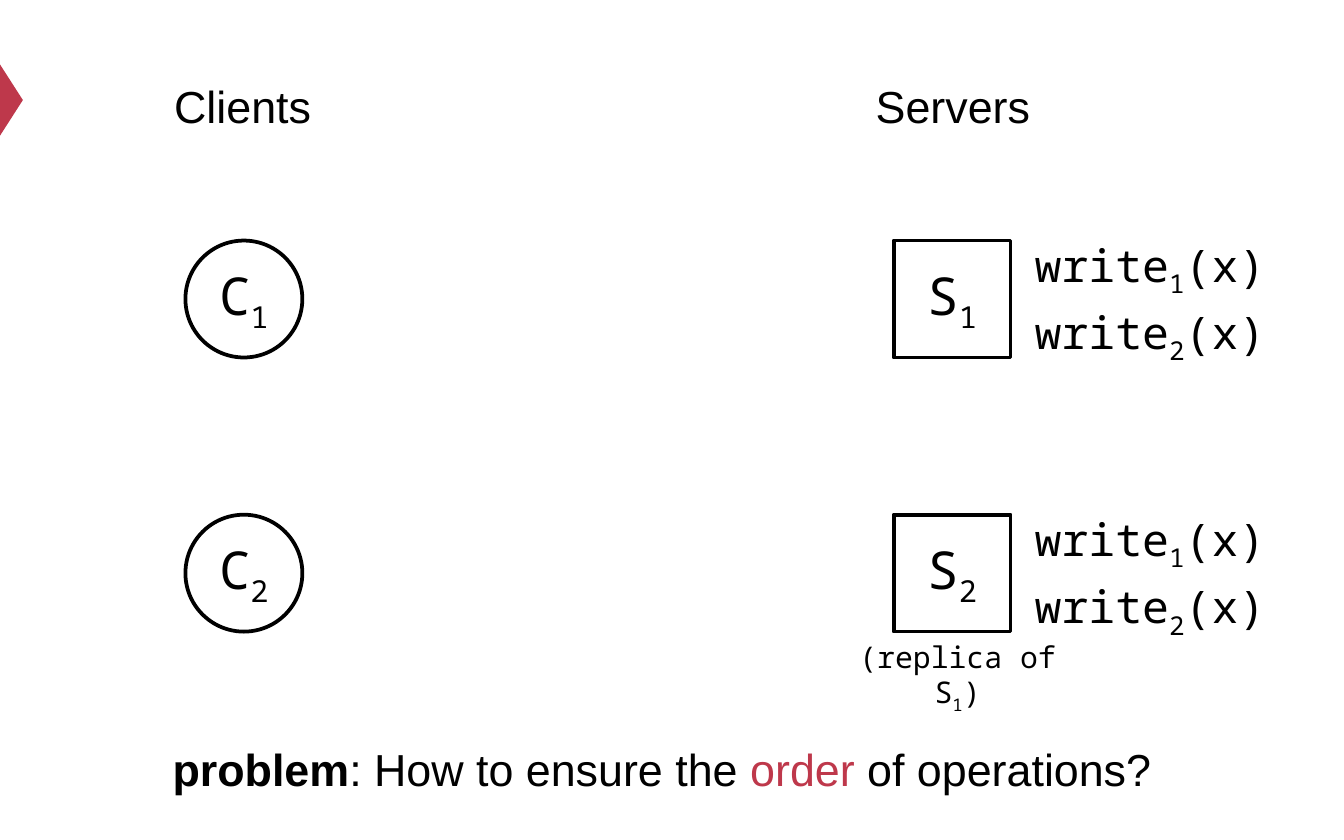
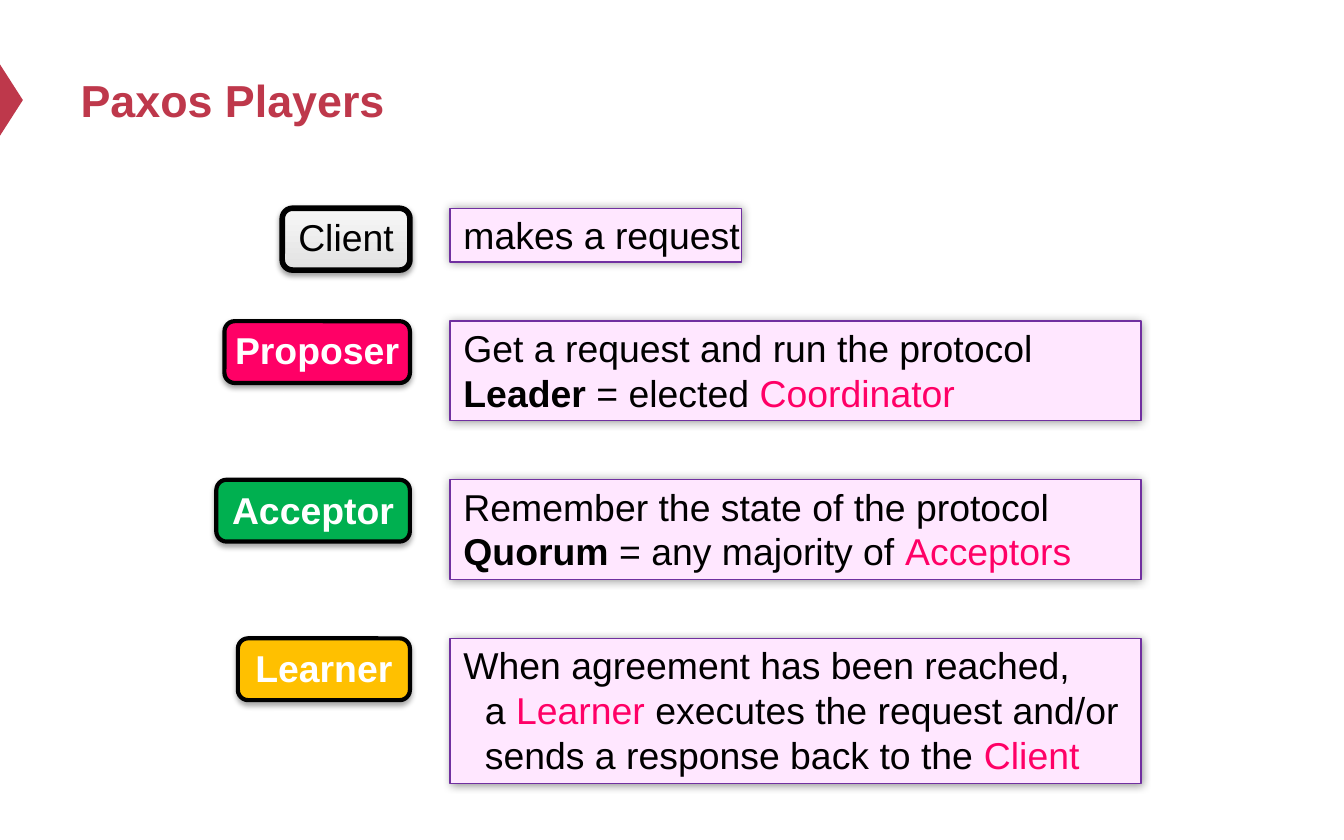
"""Build two slides on ordering operations and the roles in Paxos."""
from dataclasses import dataclass

from lxml import etree
from pptx import Presentation
from pptx import util as u
from pptx.dml.color import RGBColor
from pptx.enum import shapes, text
from pptx.oxml.ns import qn

KIND = shapes.MSO_SHAPE
MID = text.MSO_ANCHOR.MIDDLE
CENTER = text.PP_ALIGN.CENTER


@dataclass(frozen=True)
class Theme:
    """Colours, fonts and type sizes."""
    red: str = "BE384B"
    ink: str = "000000"
    white: str = "FFFFFF"
    pink: str = "FF0066"
    green: str = "00B050"
    gold: str = "FFC000"
    pale: str = "FFE7FF"
    edge: str = "7030A0"
    silver: tuple = ("E2E2E2", "F7F7F7")
    sans: str = "Arial"
    mono: str = "Noto Sans Mono"
    node: int = 28
    head: int = 24
    body: int = 20
    note: int = 16


def rgb(code):
    """Turn a hex code into a colour."""
    return RGBColor.from_string(code)


class Deck:
    """Hold the theme and the current slide."""

    def __init__(self, theme):
        """Start an empty deck."""
        self.theme = theme
        self.show = Presentation()
        self.show.slide_width = u.Inches(10)
        self.show.slide_height = u.Inches(6.25)
        self.slide = None

    def start(self, title=None):
        """Add a slide with the side marker and perhaps a title."""
        layout = self.show.slide_layouts[5 if title else 6]
        self.slide = self.show.slides.add_slide(layout)
        if title:
            self.title(title)
        mark = self.shape(KIND.ISOSCELES_TRIANGLE, (-0.18, 0.66, 0.53, 0.17), self.theme.red)
        mark.rotation = 90

    def title(self, words):
        """Place and format the title."""
        box = self.slide.shapes.title
        box.left, box.top, box.width, box.height = map(u.Inches, (0.5, 0.25, 9, 0.98))
        box.text_frame.vertical_anchor = MID
        self.fill(box, [[(words, "bold")]], self.theme.head, color=self.theme.red)

    def shape(self, kind, area, fill=None, line=None, width=0, glow=None):
        """Add a preset shape with its fill, line and shadow."""
        item = self.slide.shapes.add_shape(kind, *map(u.Inches, area))
        item.shadow.inherit = False
        if fill is None:
            item.fill.background()
        elif isinstance(fill, tuple):
            item.fill.gradient()
            item.fill.gradient_angle = 90
            for stop, code in zip(item.fill.gradient_stops, fill):
                stop.color.rgb = rgb(code)
        else:
            item.fill.solid()
            item.fill.fore_color.rgb = rgb(fill)
        if line:
            item.line.color.rgb = rgb(line)
            item.line.width = u.Pt(width)
        else:
            item.line.fill.background()
        if glow:
            self.shade(item, *glow)
        return item

    def shade(self, item, alpha, blur, dist, angle):
        """Give a shape an outer shadow."""
        root = item._element.spPr.find(qn("a:effectLst"))
        cast = etree.SubElement(root, qn("a:outerShdw"), blurRad=str(u.Pt(blur)),
                                dist=str(u.Pt(dist)), dir=str(angle * 60000),
                                algn="ctr", rotWithShape="0")
        tint = etree.SubElement(cast, qn("a:srgbClr"), val=self.theme.ink)
        etree.SubElement(tint, qn("a:alpha"), val=str(alpha * 1000))

    def fill(self, item, paras, size, font=None, color=None, accent=None, align=None,
             lead=None, hang=0):
        """Fill a shape with paragraphs of (words, style) pieces."""
        frame = item.text_frame
        for i, parts in enumerate(paras):
            para = frame.add_paragraph() if i else frame.paragraphs[0]
            para.alignment = align or text.PP_ALIGN.LEFT
            if lead:
                para.line_spacing = lead
            if hang:
                props = para._p.get_or_add_pPr()
                props.set("marL", str(u.Inches(hang)))
                props.set("indent", str(-u.Inches(hang)))
            for words, style in parts:
                if style == "break":
                    para.add_line_break()
                    continue
                run = para.add_run()
                run.text = words
                face = run.font
                face.size = u.Pt(size)
                face.name = font or self.theme.sans
                face.bold = style == "bold"
                face.color.rgb = rgb(accent if style == "accent" else color or self.theme.ink)
                if style == "sub":
                    run._r.get_or_add_rPr().set("baseline", "-25000")

    def inset(self, item, sides):
        """Set the left, top, right and bottom insets."""
        frame = item.text_frame
        (frame.margin_left, frame.margin_top,
         frame.margin_right, frame.margin_bottom) = map(u.Inches, sides)

    def label(self, area, parts, size, wrap=True, **look):
        """Add a text box of one paragraph."""
        box = self.slide.shapes.add_textbox(*map(u.Inches, area))
        box.text_frame.word_wrap = wrap
        box.text_frame.auto_size = text.MSO_AUTO_SIZE.SHAPE_TO_FIT_TEXT
        self.fill(box, [parts], size, **look)

    def node(self, kind, left, top, name, index):
        """Add an outlined node with an indexed name."""
        item = self.shape(kind, (left, top, 0.87, 0.87), line=self.theme.ink, width=2)
        item.text_frame.vertical_anchor = MID
        self.fill(item, [[(name, ""), (index, "sub")]], self.theme.node,
                  self.theme.mono, align=CENTER)

    def badge(self, area, name, fill, width, style, color, sides, lead, glow):
        """Add a rounded role badge."""
        item = self.shape(KIND.ROUNDED_RECTANGLE, area, fill, self.theme.ink, width, glow)
        item.text_frame.vertical_anchor = MID
        item.text_frame.word_wrap = False
        self.inset(item, sides)
        self.fill(item, [[(name, style)]], self.theme.body, color=color,
                  align=CENTER, lead=lead)

    def card(self, area, paras):
        """Add a pale card that explains a role."""
        item = self.shape(KIND.RECTANGLE, area, self.theme.pale, self.theme.edge,
                          0.75, (40, 5, 0, 0))
        frame = item.text_frame
        frame.word_wrap = True
        frame.vertical_anchor = text.MSO_ANCHOR.TOP
        frame.auto_size = text.MSO_AUTO_SIZE.SHAPE_TO_FIT_TEXT
        self.inset(item, (0.1, 0.03, 0, 0.03))
        self.fill(item, paras, self.theme.body, accent=self.theme.pink, hang=0.16)


def order(deck):
    """Draw clients, servers and the ordering problem."""
    look = deck.theme
    deck.start()
    for name, left, width in (("Clients", 1.19, 1.23), ("Servers", 6.41, 1.36)):
        deck.label((left, 0.54, width, 0.5), [(name, "")], look.head, wrap=False, align=CENTER)
    for row, index in enumerate("12"):
        top = 1.79 + 2.04 * row
        deck.node(KIND.OVAL, 1.38, top, "C", index)
        deck.node(KIND.RECTANGLE, 6.65, top, "S", index)
        for step, call in enumerate("12"):
            deck.label((7.6, top - 0.07 + 0.5 * step, 2.05, 0.5),
                       [("write", ""), (call, "sub"), ("(x)", "")], look.head, font=look.mono)
    deck.label((6.1, 4.7, 2.05, 0.37), [("(replica of S", ""), ("1", "sub"), (")", "")],
               look.note, font=look.mono, align=CENTER)
    deck.label((0.51, 5.47, 8.83, 0.5),
               [("problem", "bold"), (": How to ensure the ", ""), ("order ", "accent"),
                ("of operations?", "")],
               look.head, accent=look.red, align=CENTER)


def roles(deck):
    """Draw each Paxos role beside its task."""
    look = deck.theme
    deck.start("Paxos Players")
    plain = (3, "", look.ink, (0.08, 0.03, 0.08, 0), 0.8, (38, 3.1, 1.6, 90))
    tight = (2.25, "bold", look.white, (0, 0.03, 0, 0), 0.8, (38, 3.1, 1.6, 90))
    loose = (2.25, "bold", look.white, (0, 0.03, 0, 0.05), None, (35, 3.1, 1.8, 90))
    rows = (
        ("Client", 0.95, look.silver, plain, 2.17, 1, [[("makes a request", "")]]),
        ("Proposer", 1.38, look.pink, tight, 5.14, 2,
         [[("Get a request and run the protocol", "")],
          [("Leader", "bold"), (" = elected ", ""), ("Coordinator", "accent")]]),
        ("Acceptor", 1.44, look.green, loose, 5.14, 2,
         [[("Remember the state of the protocol", "")],
          [("Quorum", "bold"), (" = any majority of ", ""), ("Acceptors", "accent")]]),
        ("Learner", 1.28, look.gold, loose, 5.14, 3,
         [[("When agreement has been reached, ", ""), ("", "break"), ("a ", ""),
           ("Learner", "accent"),
           (" executes the request and/or sends a response back to the ", ""),
           ("Client", "accent")]]),
    )
    top = 1.55
    for name, wide, fill, style, span, lines, paras in rows:
        tall = 0.06 + 0.34 * lines
        deck.card((3.35, top, span, tall), paras)
        deck.badge((3.05 - wide, top, wide, 0.46), name, fill, *style)
        top += tall + 0.44


def main():
    """Build and save the deck."""
    deck = Deck(Theme())
    order(deck)
    roles(deck)
    deck.show.save("out.pptx")


if __name__ == "__main__":
    main()
